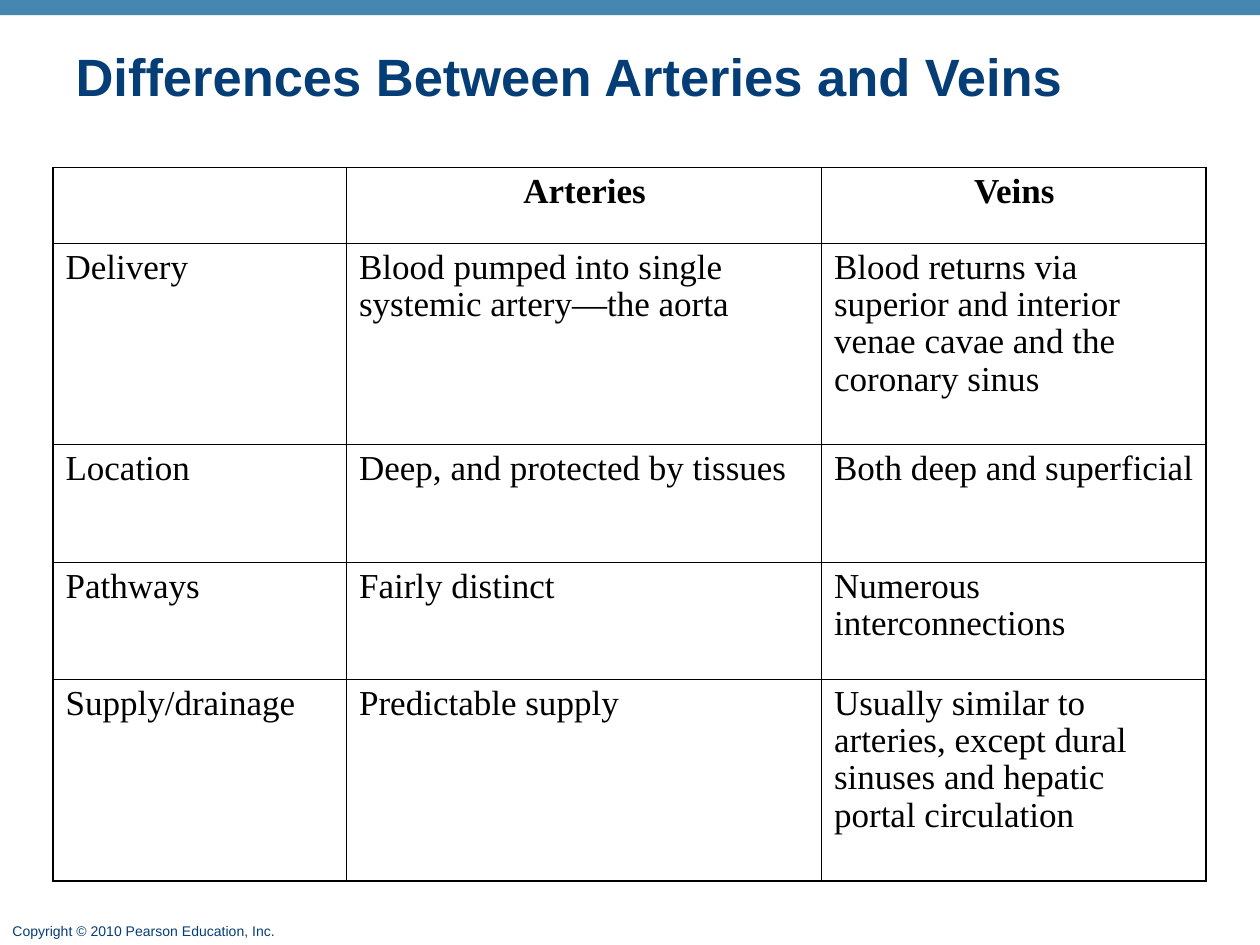
from dataclasses import dataclass

from lxml import etree
from pptx import Presentation
from pptx.dml.color import RGBColor
from pptx.enum.shapes import MSO_SHAPE
from pptx.enum.text import MSO_ANCHOR, PP_ALIGN
from pptx.oxml.ns import qn
from pptx.util import Inches, Pt

RECTANGLE = MSO_SHAPE.RECTANGLE
MIDDLE = MSO_ANCHOR.MIDDLE
LEFT, CENTER = PP_ALIGN.LEFT, PP_ALIGN.CENTER


@dataclass(frozen=True)
class Theme:
    navy: RGBColor = RGBColor(0x05, 0x3D, 0x76)
    band: RGBColor = RGBColor(0x45, 0x87, 0xB1)
    black: RGBColor = RGBColor(0, 0, 0)
    heading_font: str = "Arial"
    table_font: str = "Times New Roman"
    title_size: float = 30
    table_size: float = 20
    footer_size: float = 8
    line_spacing: float = 0.96
    outer_line: float = 1.08
    inner_line: float = 0.45


THEME = Theme()

COLUMN_WIDTHS = [2.33, 3.77, 3.05]
ROW_HEIGHTS = [0.6, 1.6, 0.93, 0.93, 1.6]
COMPARISON = [
    ["", "Arteries", "Veins"],
    ["Delivery", "Blood pumped into single systemic artery—the aorta",
     "Blood returns via superior and interior venae cavae and the coronary sinus"],
    ["Location", "Deep, and protected by tissues", "Both deep and superficial"],
    ["Pathways", "Fairly distinct", "Numerous interconnections"],
    ["Supply/drainage", "Predictable supply",
     "Usually similar to arteries, except dural sinuses and hepatic portal circulation"],
]


def format_paragraph(paragraph, font_name, size, color, bold=False, align=LEFT):
    paragraph.alignment = align
    font = paragraph.font
    font.name, font.size, font.bold = font_name, Pt(size), bold
    font.color.rgb = color


def add_band(slide, width):
    band = slide.shapes.add_shape(RECTANGLE, 0, 0, width, Inches(0.12))
    band.shadow.inherit = False
    band.fill.solid()
    band.fill.fore_color.rgb = THEME.band
    band.line.fill.background()


def set_title(slide, text):
    title = slide.shapes.title
    title.left, title.top = Inches(0.5), Inches(0.29)
    title.width, title.height = Inches(9), Inches(0.67)
    frame = title.text_frame
    frame.text = text
    frame.vertical_anchor = MIDDLE
    paragraph = frame.paragraphs[0]
    paragraph.line_spacing = THEME.line_spacing
    format_paragraph(paragraph, THEME.heading_font, THEME.title_size, THEME.navy, bold=True)


def add_footer(slide, text):
    box = slide.shapes.add_textbox(0, Inches(7.27), Inches(2.29), Inches(0.24))
    frame = box.text_frame
    frame.word_wrap = False
    frame.text = text
    format_paragraph(frame.paragraphs[0], THEME.heading_font, THEME.footer_size, THEME.navy)


def set_borders(cell, outer_sides):
    """Draw the four sides, with the heavier line on the table's edge."""
    properties = cell._tc.get_or_add_tcPr()
    for index, side in enumerate(("lnL", "lnR", "lnT", "lnB")):
        width = THEME.outer_line if side in outer_sides else THEME.inner_line
        line = etree.Element(qn("a:" + side), w=str(Pt(width)))
        fill = etree.SubElement(line, qn("a:solidFill"))
        etree.SubElement(fill, qn("a:srgbClr"), val=str(THEME.black))
        properties.insert(index, line)


def fill_cell(cell, text, is_header):
    cell.fill.background()
    cell.margin_right = Inches(0.09)
    cell.text = text
    paragraph = cell.text_frame.paragraphs[0]
    paragraph.line_spacing = THEME.line_spacing
    format_paragraph(paragraph, THEME.table_font, THEME.table_size, THEME.black,
                     bold=is_header, align=CENTER if is_header else LEFT)


def add_comparison_table(slide, rows):
    last_row, last_column = len(rows) - 1, len(rows[0]) - 1
    table = slide.shapes.add_table(
        len(rows), len(rows[0]), Inches(0.42), Inches(1.33),
        Inches(sum(COLUMN_WIDTHS)), Inches(sum(ROW_HEIGHTS))).table
    table.first_row = table.horz_banding = False
    for column, width in zip(table.columns, COLUMN_WIDTHS):
        column.width = Inches(width)
    for row, height in zip(table.rows, ROW_HEIGHTS):
        row.height = Inches(height)
    for r, texts in enumerate(rows):
        for c, text in enumerate(texts):
            edges = {"lnL": c == 0, "lnR": c == last_column,
                     "lnT": r == 0, "lnB": r == last_row}
            cell = table.cell(r, c)
            fill_cell(cell, text, is_header=r == 0)
            set_borders(cell, [side for side, on_edge in edges.items() if on_edge])


def main():
    presentation = Presentation()
    presentation.slide_width, presentation.slide_height = Inches(10), Inches(7.5)
    slide = presentation.slides.add_slide(presentation.slide_layouts[5])

    # Page frame
    add_band(slide, presentation.slide_width)
    add_footer(slide, "Copyright © 2010 Pearson Education, Inc.")

    # Content
    set_title(slide, "Differences Between Arteries and Veins")
    add_comparison_table(slide, COMPARISON)

    presentation.save("out.pptx")


if __name__ == "__main__":
    main()
